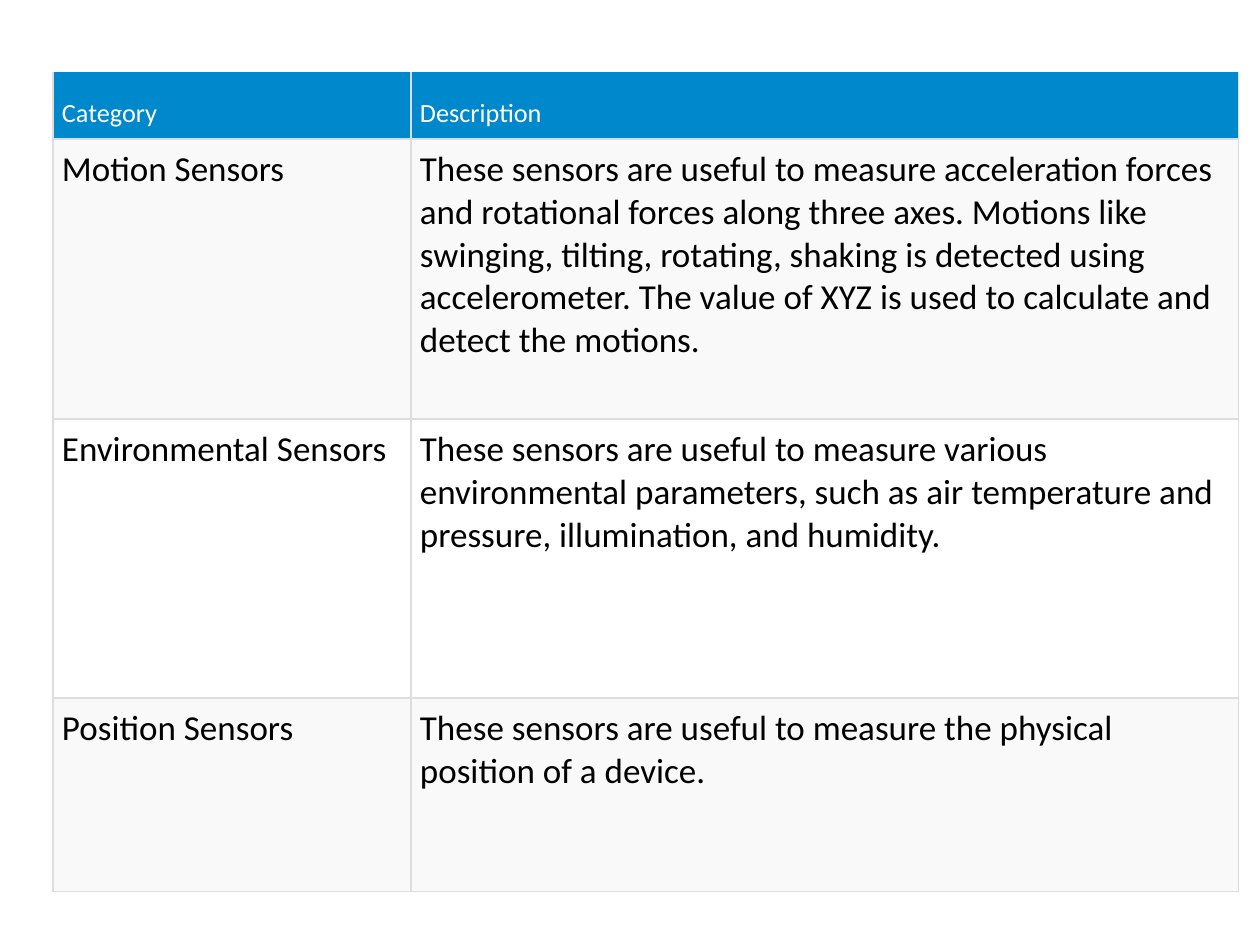
from dataclasses import dataclass

from lxml import etree
from pptx import Presentation
from pptx.dml.color import RGBColor
from pptx.enum.text import MSO_ANCHOR
from pptx.oxml.ns import qn
from pptx.util import Emu, Pt

TOP, BOTTOM = MSO_ANCHOR.TOP, MSO_ANCHOR.BOTTOM
PX_PER_INCH = 126
EMU_PER_PX = 914400 / PX_PER_INCH


@dataclass(frozen=True)
class Theme:
    font: str = "Calibri"
    header_size: int = 15
    body_size: int = 20
    header_text: str = "FFFFFF"
    body_text: str = "000000"
    header_fill: str = "0088CC"
    odd_fill: str = "F9F9F9"
    even_fill: str = "FFFFFF"
    border: str = "DDDDDD"
    border_width: float = 0.75


@dataclass(frozen=True)
class SensorRow:
    category: str
    description: str
    height: int


@dataclass(frozen=True)
class CellStyle:
    fill: str
    text: str
    size: int
    anchor: MSO_ANCHOR
    top_border: str


THEME = Theme()
TABLE_LEFT, TABLE_TOP = 53, 73
COLUMN_WIDTHS = (358, 828)
CELL_INSET = 9
ROWS = (
    SensorRow("Category", "Description", 66),
    SensorRow(
        "Motion Sensors",
        "These sensors are useful to measure acceleration forces and rotational "
        "forces along three axes. Motions like swinging, tilting, rotating, shaking "
        "is detected using accelerometer. The value of XYZ is used to calculate and "
        "detect the motions.",
        280,
    ),
    SensorRow(
        "Environmental Sensors",
        "These sensors are useful to measure various environmental parameters, such "
        "as air temperature and pressure, illumination, and humidity.",
        279,
    ),
    SensorRow(
        "Position Sensors",
        "These sensors are useful to measure the physical position of a device.",
        194,
    ),
)


def px(length: int) -> Emu:
    return Emu(round(length * EMU_PER_PX))


def row_style(index: int) -> CellStyle:
    if index == 0:
        return CellStyle(THEME.header_fill, THEME.header_text, THEME.header_size,
                         BOTTOM, THEME.header_fill)
    fill = THEME.odd_fill if index % 2 else THEME.even_fill
    return CellStyle(fill, THEME.body_text, THEME.body_size, TOP, THEME.border)


def set_borders(cell, top_color: str) -> None:
    """Put the four border lines before the fill, as the schema orders them."""
    properties = cell._tc.get_or_add_tcPr()
    sides = (("a:lnL", THEME.border), ("a:lnR", THEME.border),
             ("a:lnT", top_color), ("a:lnB", THEME.border))
    for position, (tag, color) in enumerate(sides):
        line = etree.Element(qn(tag), w=str(Pt(THEME.border_width)))
        solid = etree.SubElement(line, qn("a:solidFill"))
        etree.SubElement(solid, qn("a:srgbClr"), val=color)
        properties.insert(position, line)


def fill_cell(cell, wording: str, style: CellStyle) -> None:
    cell.fill.solid()
    cell.fill.fore_color.rgb = RGBColor.from_string(style.fill)
    cell.margin_left = cell.margin_right = px(CELL_INSET)
    cell.margin_top = cell.margin_bottom = px(CELL_INSET)
    cell.vertical_anchor = style.anchor
    run = cell.text_frame.paragraphs[0].add_run()
    run.text = wording
    run.font.name = THEME.font
    run.font.size = Pt(style.size)
    run.font.bold = False
    run.font.color.rgb = RGBColor.from_string(style.text)
    set_borders(cell, style.top_border)


def add_sensor_table(slide) -> None:
    table = slide.shapes.add_table(
        len(ROWS), len(COLUMN_WIDTHS), px(TABLE_LEFT), px(TABLE_TOP),
        px(sum(COLUMN_WIDTHS)), px(sum(row.height for row in ROWS)),
    ).table
    for column, width in zip(table.columns, COLUMN_WIDTHS):
        column.width = px(width)
    for index, sensor in enumerate(ROWS):
        table.rows[index].height = px(sensor.height)
        style = row_style(index)
        for column, wording in enumerate((sensor.category, sensor.description)):
            fill_cell(table.cell(index, column), wording, style)


def main() -> None:
    deck = Presentation()
    deck.slide_width, deck.slide_height = px(1260), px(945)
    add_sensor_table(deck.slides.add_slide(deck.slide_layouts[6]))
    deck.save("out.pptx")


if __name__ == "__main__":
    main()
